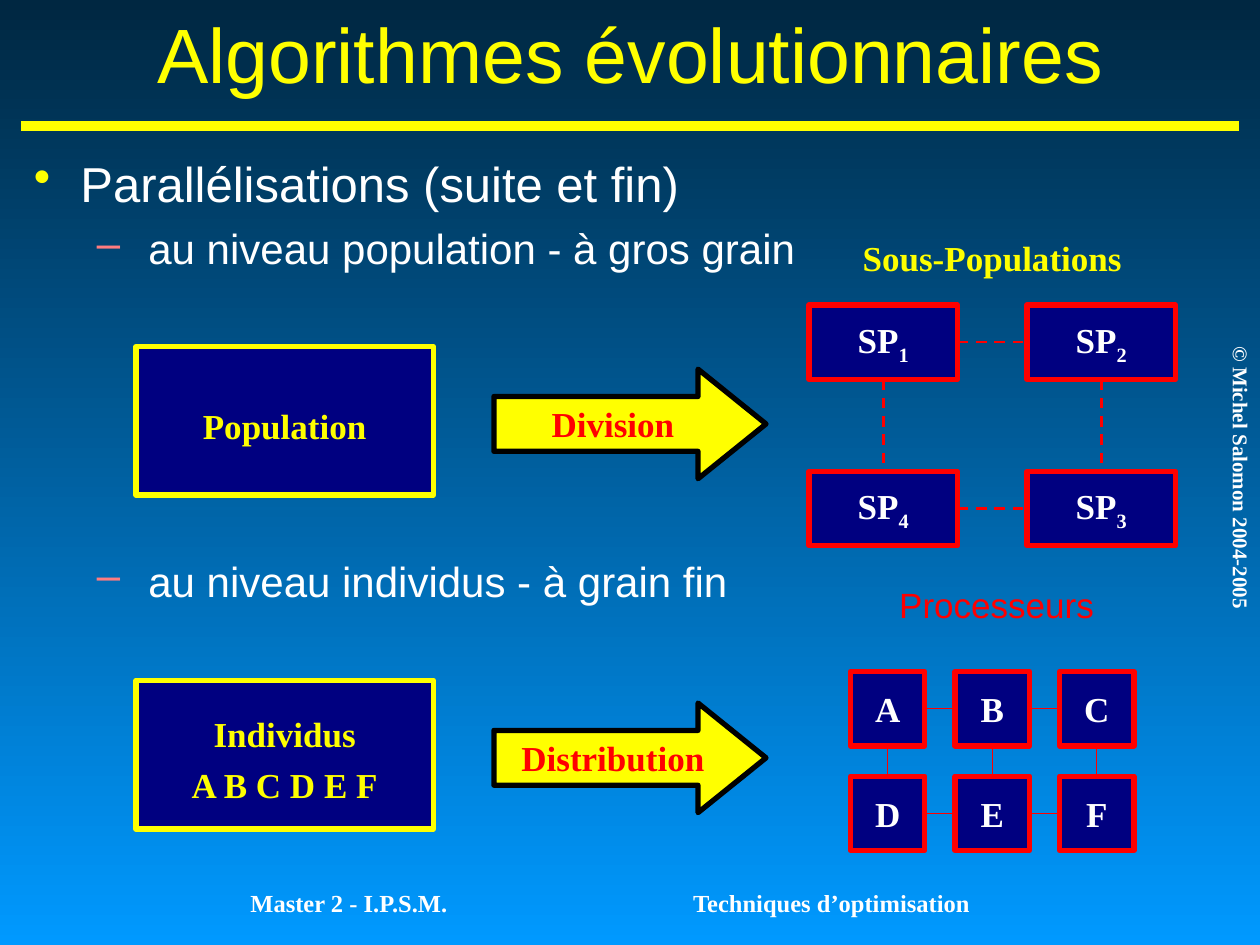
from lxml import etree
from pptx import Presentation
from pptx.dml.color import RGBColor
from pptx.enum import dml, shapes, text
from pptx.oxml import ns
from pptx.util import Inches, Pt

YELLOW, RED, NAVY, WHITE, BLACK = "FFFF00", "FF0000", "000080", "FFFFFF", "000000"
SANS, SERIF = "Arial", "Times New Roman"


def tint(color):
    """Turn a hex string into a colour."""
    return RGBColor.from_string(color)


def style(para, size, color, face=SERIF, bold=True, align=text.PP_ALIGN.CENTER):
    """Set the alignment and font of a paragraph."""
    para.alignment = align
    font = para.font
    font.size, font.name, font.bold = Pt(size), face, bold
    font.color.rgb = tint(color)


def label(slide, box, words, size, color, face=SERIF, bold=True,
          anchor=text.MSO_ANCHOR.TOP):
    """Add a centred line of text."""
    item = slide.shapes.add_textbox(*map(Inches, box))
    frame = item.text_frame
    frame.word_wrap = True
    frame.vertical_anchor = anchor
    frame.text = words
    style(frame.paragraphs[0], size, color, face, bold)
    return item


def block(slide, kind, box, fill, edge):
    """Add a filled shape with a thick outline and return it."""
    item = slide.shapes.add_shape(kind, *map(Inches, box))
    item.shadow.inherit = False
    item.fill.solid()
    item.fill.fore_color.rgb = tint(fill)
    item.line.color.rgb = tint(edge)
    item.line.width = Pt(3)
    item.text_frame.word_wrap = False
    item.text_frame.vertical_anchor = text.MSO_ANCHOR.MIDDLE
    return item


def wire(slide, ends, color, width, dash=None):
    """Add a straight line between two points."""
    line = slide.shapes.add_connector(
        shapes.MSO_CONNECTOR.STRAIGHT, *map(Inches, ends))
    line.line.color.rgb = tint(color)
    line.line.width = Pt(width)
    if dash:
        line.line.dash_style = dash
    etree.SubElement(line._element.spPr, ns.qn("a:effectLst"))
    return line


def join(slide, first, side, last, width, dash):
    """Link two cells, from a side of the first to the opposite one."""
    line = wire(slide, (0, 0, 1, 1), RED, width, dash)
    line.begin_connect(first, side)
    line.end_connect(last, (side + 2) % 4)


def mesh(slide, box, rows, size, width, dash=None):
    """Spread labelled cells over a box and link the neighbours."""
    left, top, wide, high = box
    cw, ch = size
    dx = (wide - cw) / (len(rows[0]) - 1)
    dy = (high - ch) / (len(rows) - 1)
    cells = {}
    for r, row in enumerate(rows):
        for c, (name, sub) in enumerate(row):
            place = (left + c * dx, top + r * dy, cw, ch)
            cell = block(slide, shapes.MSO_SHAPE.RECTANGLE, place, NAVY, RED)
            para = cell.text_frame.paragraphs[0]
            style(para, 20, WHITE)
            para.add_run().text = name
            if sub:
                run = para.add_run()
                run.text = sub
                run.font._element.set("baseline", "-25000")
            cells[r, c] = cell
    for (r, c), cell in cells.items():
        for side, key in ((3, (r, c + 1)), (2, (r + 1, c))):
            if key in cells:
                join(slide, cell, side, cells[key], width, dash)


def step(slide, left, top, words, verb):
    """Add a source box and the arrow leading from it."""
    box = (left, top, 2.36, 1.18)
    source = block(slide, shapes.MSO_SHAPE.RECTANGLE, box, NAVY, YELLOW)
    source.text_frame.text = words
    para = source.text_frame.paragraphs[0]
    para.line_spacing = 1.2
    style(para, 20, YELLOW)
    box = (left + 2.84, top + 0.18, 2.16, 0.87)
    arrow = block(slide, shapes.MSO_SHAPE.RIGHT_ARROW, box, YELLOW, BLACK)
    arrow.adjustments[1] = 0.62
    arrow.text_frame.text = verb
    style(arrow.text_frame.paragraphs[0], 20, RED)


def points(slide, box, items):
    """Add the bulleted outline."""
    frame = slide.shapes.add_textbox(*map(Inches, box)).text_frame
    frame.word_wrap = True
    for i, (words, level, size, gap) in enumerate(items):
        para = frame.add_paragraph() if i else frame.paragraphs[0]
        para.text = words
        para.level = level
        para.space_before = Pt(gap)
        mark, color, indent, hang = (
            ("•", YELLOW, 0.37, 0.37), ("–", "FF7C80", 0.91, 0.41))[level]
        props = para._p.get_or_add_pPr()
        props.set("marL", str(Inches(indent)))
        props.set("indent", str(-Inches(hang)))
        shade = etree.SubElement(props, ns.qn("a:buClr"))
        etree.SubElement(shade, ns.qn("a:srgbClr"), val=color)
        etree.SubElement(props, ns.qn("a:buChar"), char=mark)
        style(para, size, WHITE, SANS, False, text.PP_ALIGN.LEFT)


def frame(slide):
    """Add the background, title, rule and footers."""
    fill = slide.background.fill
    fill.gradient()
    fill.gradient_angle = 270
    for stop, color, spot in zip(fill.gradient_stops, ("002741", "0099FF"), (0, 1)):
        stop.color.rgb = tint(color)
        stop.position = spot
    wire(slide, (0.17, 1, 9.83, 1), YELLOW, 6)
    label(slide, (0.17, 0, 9.67, 0.83), "Algorithmes évolutionnaires",
          44, YELLOW, SANS, False, text.MSO_ANCHOR.MIDDLE)
    note = label(slide, (8.39, 3.64, 2.92, 0.3), "© Michel Salomon 2004-2005",
                 12, WHITE)
    note.rotation = 90
    for left, words in ((4.83, "Techniques d’optimisation"),
                        (1, "Master 2 - I.P.S.M.")):
        label(slide, (left, 7, 3.54, 0.25), words, 14, WHITE)


def main():
    """Build the slide and save it."""
    deck = Presentation()
    deck.slide_width, deck.slide_height = Inches(10), Inches(7.5)
    slide = deck.slides.add_slide(deck.slide_layouts[6])
    frame(slide)
    points(slide, (0.17, 1.17, 9.67, 5.5), (
        ("Parallélisations (suite et fin)", 0, 28, 0),
        ("au niveau population - à gros grain", 1, 24, 6),
        ("au niveau individus - à grain fin", 1, 24, 161)))
    step(slide, 1.08, 2.75, "Population", "Division")
    label(slide, (6.42, 1.83, 2.91, 0.44), "Sous-Populations", 20, YELLOW)
    mesh(slide, (6.42, 2.42, 2.91, 1.91),
         ((("SP", "1"), ("SP", "2")), (("SP", "4"), ("SP", "3"))),
         (1.18, 0.59), 1.5, dml.MSO_LINE.DASH)
    step(slide, 1.08, 5.4, "Individus\vA B C D E F", "Distribution")
    label(slide, (6.83, 4.58, 2.16, 0.44), "Processeurs", 20, RED, SANS, False)
    mesh(slide, (6.75, 5.33, 2.25, 1.42),
         [[(name, "") for name in row] for row in ("ABC", "DEF")],
         (0.59, 0.59), 0.75)
    deck.save("out.pptx")


if __name__ == "__main__":
    main()
